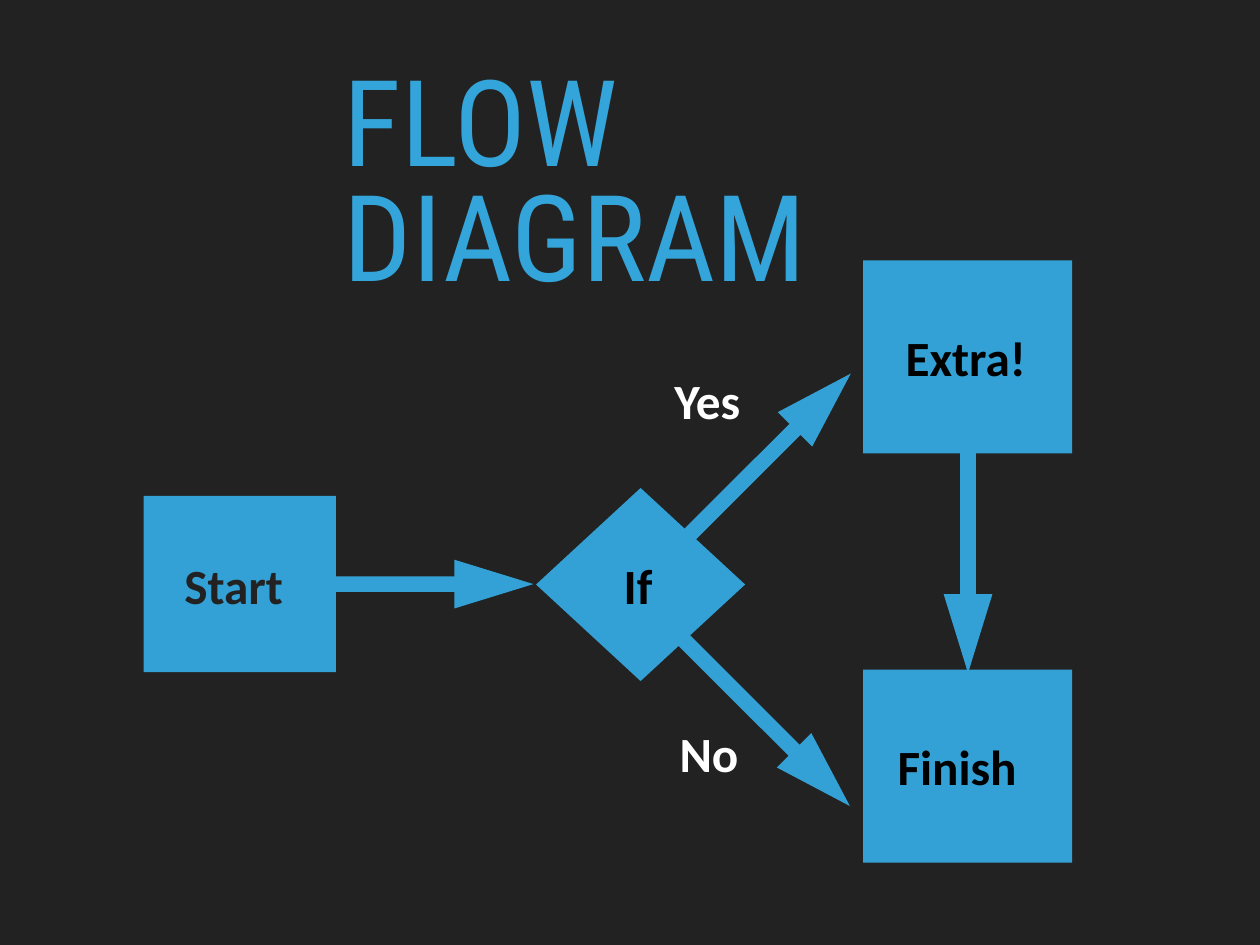
from pptx import Presentation
from pptx.dml.color import RGBColor
from pptx.enum.shapes import MSO_SHAPE
from pptx.enum.text import MSO_ANCHOR, MSO_AUTO_SIZE, PP_ALIGN
from pptx.util import Inches, Pt

COLORS = {"background": "222222", "shape": "33A1D5", "title": "34A5DA",
          "black": "000000", "white": "FFFFFF"}
LABEL_FONT = {"name": "Calibri", "size": Pt(40), "bold": True}
TITLE_FONT = {"name": "Roboto Condensed", "size": Pt(97.5), "bold": False}
LABEL_HEIGHT = 0.88
ARROW_SIZE = (2.65, 0.55)

# text, shape, box, text offset in the box, text width, text colour
NODES = [
    ("Start", MSO_SHAPE.RECTANGLE, (1.62, 5.6, 2.17, 1.99), (0.4, 0.56), 1.38, "background"),
    ("If", MSO_SHAPE.DIAMOND, (6.05, 5.51, 2.36, 2.18), (0.93, 0.65), 0.5, "black"),
    ("Extra!", MSO_SHAPE.RECTANGLE, (9.74, 2.94, 2.36, 2.18), (0.42, 0.65), 1.72, "black"),
    ("Finish", MSO_SHAPE.RECTANGLE, (9.74, 7.56, 2.36, 2.18), (0.33, 0.65), 1.71, "black"),
]
# left, top, rotation
ARROWS = [(3.37, 6.32, 0), (7.34, 4.88, 315), (7.33, 7.89, 45), (9.6, 6, 90)]
# text, left, top, width
BRANCHES = [("Yes", 7.55, 4.08, 1.03), ("No", 7.61, 8.06, 0.92)]


def write(tf, text, font, color, frame, paragraph):
    """Fill a text frame with one formatted paragraph."""
    for side in ("left", "top", "right", "bottom"):
        setattr(tf, f"margin_{side}", Inches(0.06))
    for name, value in frame.items():
        setattr(tf, name, value)
    p = tf.paragraphs[0]
    for name, value in paragraph.items():
        setattr(p, name, value)
    r = p.add_run()
    r.text = text
    for name, value in font.items():
        setattr(r.font, name, value)
    r.font.color.rgb = RGBColor.from_string(COLORS[color])


def add_title(s, box, text):
    sp = s.shapes.title
    sp.left, sp.top, sp.width, sp.height = map(Inches, box)
    write(sp.text_frame, text, TITLE_FONT, "title",
          {"word_wrap": True, "auto_size": MSO_AUTO_SIZE.NONE,
           "vertical_anchor": MSO_ANCHOR.TOP},
          {"alignment": PP_ALIGN.LEFT, "line_spacing": 0.8, "space_before": Pt(21)})


def add_label(s, box, text, color):
    sp = s.shapes.add_textbox(*map(Inches, box))
    write(sp.text_frame, text, LABEL_FONT, color,
          {"word_wrap": False, "auto_size": MSO_AUTO_SIZE.SHAPE_TO_FIT_TEXT,
           "vertical_anchor": MSO_ANCHOR.MIDDLE},
          {"alignment": PP_ALIGN.LEFT, "space_before": Pt(24)})


def add_solid(s, kind, box):
    """Add a flat shape without an outline."""
    sp = s.shapes.add_shape(kind, *map(Inches, box))
    sp.shadow.inherit = False
    sp.fill.solid()
    sp.fill.fore_color.rgb = RGBColor.from_string(COLORS["shape"])
    sp.line.fill.background()
    return sp


def add_node(s, kind, box, text, offset, text_width, color):
    add_solid(s, kind, box)
    left, top = box[0] + offset[0], box[1] + offset[1]
    add_label(s, (left, top, text_width, LABEL_HEIGHT), text, color)


def add_arrow(s, box, rotation):
    sp = add_solid(s, MSO_SHAPE.RIGHT_ARROW, box)
    sp.adjustments[0] = 0.32
    sp.adjustments[1] = 1.62
    sp.rotation = rotation


def main():
    prs = Presentation()
    prs.slide_width, prs.slide_height = Inches(14.22), Inches(10.67)
    s = prs.slides.add_slide(prs.slide_layouts[5])
    s.background.fill.solid()
    s.background.fill.fore_color.rgb = RGBColor.from_string(COLORS["background"])

    add_title(s, (3.82, 0.78, 6.59, 1.55), "FLOW DIAGRAM")
    for left, top, rotation in ARROWS:
        add_arrow(s, (left, top, *ARROW_SIZE), rotation)
    for text, kind, box, offset, width, color in NODES:
        add_node(s, kind, box, text, offset, width, color)
    for text, left, top, width in BRANCHES:
        add_label(s, (left, top, width, LABEL_HEIGHT), text, "white")
    prs.save("out.pptx")


if __name__ == "__main__":
    main()
